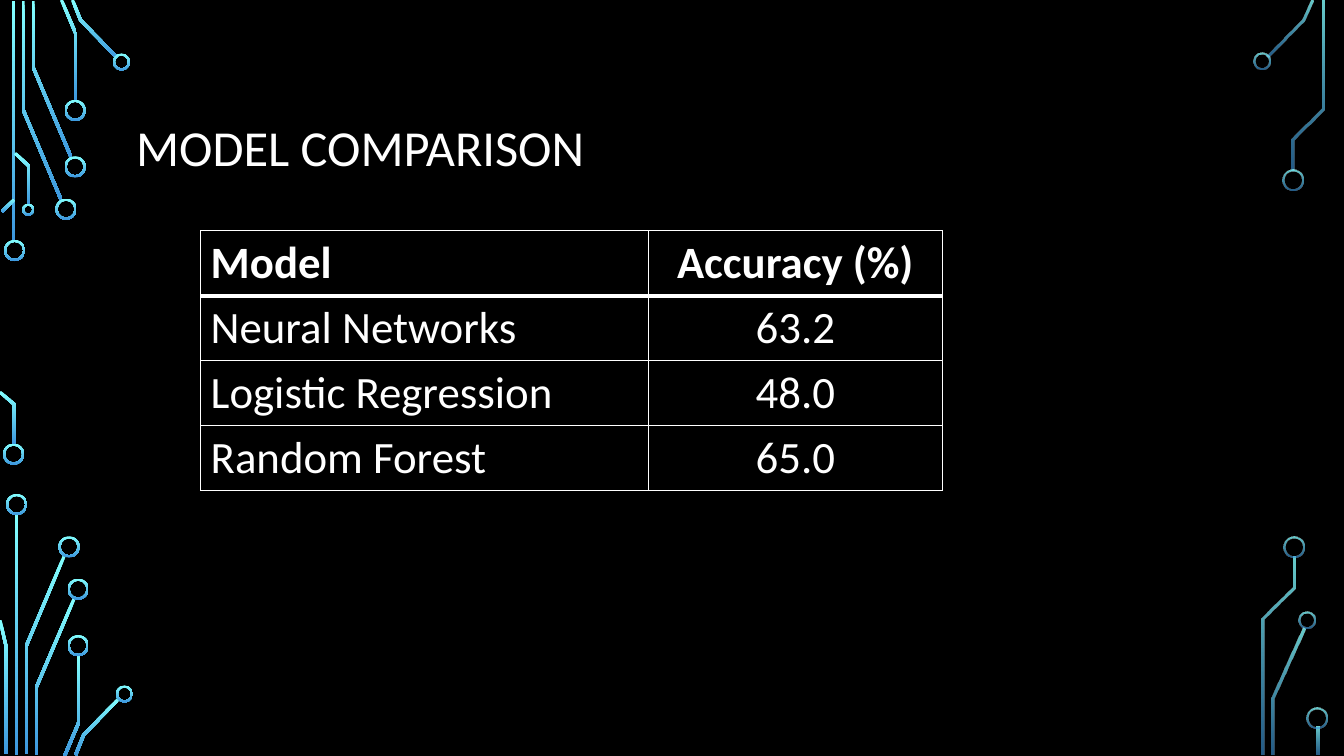
from lxml.etree import SubElement
from pptx import Presentation
from pptx.dml.color import RGBColor
from pptx.enum.shapes import MSO_SHAPE
from pptx.enum.text import MSO_ANCHOR, MSO_AUTO_SIZE, PP_ALIGN
from pptx.oxml.ns import qn
from pptx.util import Inches, Pt

HUES = {"back": "000000", "text": "FFFFFF", "top": "82FFFF", "base": "3D97DE"}
FONT = "Calibri"
SOLID = (100, 100)
FADED = (80, 60)
WIDE = 0.03
RIM = 0.02

LEFT_BARS = [(0.12, 0.01, 2.39), (0.15, 5.1, 2.39)]
RIGHT_BARS = [(13.06, 7.21, 0.28)]
LEFT_TRACKS = [
    [(0.23, 0.01), (0.23, 1.09), (0.61, 1.99)],
    [(0.33, 0.01), (0.33, 0.67), (0.71, 1.57)],
    [(0.61, 0), (0.75, 0.33), (0.75, 1)],
    [(0.72, 0), (0.8, 0.2), (1.16, 0.57)],
    [(0.02, 2.1), (0.14, 1.98)],
    [(0, 3.89), (0.14, 4.01), (0.14, 4.41)],
    [(0.15, 1.52), (0.29, 1.65), (0.29, 2.03)],
    [(0.26, 7.48), (0.26, 6.41), (0.64, 5.51)],
    [(0, 6.15), (0.06, 6.41), (0.06, 7.48)],
    [(0.36, 7.49), (0.36, 6.82), (0.74, 5.93)],
    [(0.64, 7.5), (0.78, 7.17), (0.78, 6.5)],
    [(0.75, 7.49), (0.83, 7.29), (1.18, 6.93)],
]
RIGHT_TRACKS = [
    [(12.57, 0.56), (12.92, 0.2), (13.01, 0)],
    [(12.63, 7.49), (12.63, 6.93), (12.93, 6.23)],
    [(12.82, 1.69), (12.82, 1.38), (13.12, 1.08), (13.12, 0.01)],
    [(12.53, 7.49), (12.53, 6.14), (12.83, 5.83), (12.83, 5.52)],
]
LEFT_RINGS = [
    (0.04, 2.38, 0.21), (0.03, 4.4, 0.21), (0.55, 1.97, 0.21),
    (0.64, 1.55, 0.21), (0.64, 0.99, 0.21), (1.12, 0.53, 0.17),
    (0.22, 2.02, 0.12), (0.06, 4.9, 0.21), (0.58, 5.32, 0.21),
    (0.67, 5.74, 0.21), (0.67, 6.3, 0.21), (1.15, 6.8, 0.17),
]
RIGHT_RINGS = [
    (12.43, 0.52, 0.17), (12.72, 1.68, 0.21), (12.88, 6.07, 0.17),
    (12.73, 5.32, 0.21), (12.96, 7.02, 0.21),
]
ROWS = [
    ("Model", "Accuracy (%)"),
    ("Neural Networks", "63.2"),
    ("Logistic Regression", "48.0"),
    ("Random Forest", "65.0"),
]


def write(frame, text, size=32, bold=False, align=PP_ALIGN.LEFT, space=None):
    """Put formatted text into a text frame."""
    para = frame.paragraphs[0]
    para.alignment = align
    para.line_spacing = space
    run = para.add_run()
    run.text = text
    run.font.name = FONT
    run.font.size = Pt(size)
    run.font.bold = bold
    run.font.color.rgb = RGBColor.from_string(HUES["text"])


def edge(track):
    """Return the outline of a band of even width along a track."""
    dots = [complex(*dot) for dot in track]
    norms = [1j * (b - a) / abs(b - a) for a, b in zip(dots, dots[1:])]
    pairs = zip([norms[0]] + norms, norms + [norms[-1]])
    shifts = [(a + b) / (1 + (a * b.conjugate()).real) * WIDE / 2 for a, b in pairs]
    near = [dot + shift for dot, shift in zip(dots, shifts)]
    far = [dot - shift for dot, shift in zip(dots, shifts)]
    return [(Inches(dot.real), Inches(dot.imag)) for dot in near + far[::-1]]


class Deck:
    """Hold the style and the current slide."""

    def __init__(self):
        """Open a deck with one dark slide."""
        self.show = Presentation()
        self.show.slide_width = Inches(13.33)
        self.show.slide_height = Inches(7.5)
        self.slide = self.show.slides.add_slide(self.show.slide_layouts[5])
        self.shapes = self.slide.shapes
        fill = self.slide.background.fill
        fill.solid()
        fill.fore_color.rgb = RGBColor.from_string(HUES["back"])

    def glow(self, shape, fade):
        """Shade a shape from top to base."""
        shape.shadow.inherit = False
        shape.line.fill.background()
        shape.fill.gradient()
        shape.fill.gradient_angle = 270
        for stop, name in zip(shape.fill.gradient_stops, ("top", "base")):
            stop.color.rgb = RGBColor.from_string(HUES[name])
        if fade != SOLID:
            for tint, part in zip(shape._element.spPr.iter(qn("a:srgbClr")), fade):
                SubElement(tint, qn("a:alpha"), val=str(part * 1000))

    def bar(self, left, top, high, fade):
        """Draw an upright bar."""
        box = [Inches(n) for n in (left, top, WIDE, high)]
        self.glow(self.shapes.add_shape(MSO_SHAPE.RECTANGLE, *box), fade)

    def track(self, dots, fade):
        """Draw a bent track."""
        first, *rest = edge(dots)
        pen = self.shapes.build_freeform(*first)
        pen.add_line_segments(rest, close=True)
        self.glow(pen.convert_to_shape(), fade)

    def ring(self, left, top, size, fade):
        """Draw a thin ring."""
        box = [Inches(n) for n in (left, top, size, size)]
        ring = self.shapes.add_shape(MSO_SHAPE.DONUT, *box)
        ring.adjustments[0] = RIM / size
        self.glow(ring, fade)

    def side(self, bars, tracks, rings, fade):
        """Draw the circuit on one side."""
        for bar in bars:
            self.bar(*bar, fade)
        for dots in tracks:
            self.track(dots, fade)
        for ring in rings:
            self.ring(*ring, fade)

    def title(self, text):
        """Place and fill the title."""
        head = self.shapes.title
        head.left, head.top = Inches(1.25), Inches(0.68)
        head.width, head.height = Inches(10.83), Inches(1.62)
        frame = head.text_frame
        frame.word_wrap = True
        frame.auto_size = MSO_AUTO_SIZE.NONE
        frame.vertical_anchor = MSO_ANCHOR.MIDDLE
        write(frame, text, size=36, space=0.9)

    def rule(self, cell, **widths):
        """Draw the borders of a cell."""
        props = cell._tc.get_or_add_tcPr()
        for side in "LRTB":
            width = Pt(widths.get(side, 1))
            line = SubElement(props, qn(f"a:ln{side}"), w=str(width))
            fill = SubElement(line, qn("a:solidFill"))
            SubElement(fill, qn("a:srgbClr"), val=HUES["text"])

    def table(self, rows):
        """Draw the table of scores."""
        box = [Inches(n) for n in (1.99, 2.29, 7.36, 2.56)]
        grid = self.shapes.add_table(len(rows), 2, *box).table
        grid.first_row = grid.horz_banding = False
        for col, wide in zip(grid.columns, (4.44, 2.92)):
            col.width = Inches(wide)
        for y, row in enumerate(rows):
            thick = {0: {"B": 3}, 1: {"T": 3}}.get(y, {})
            for x, text in enumerate(row):
                cell = grid.cell(y, x)
                self.rule(cell, **thick)
                cell.fill.background()
                align = PP_ALIGN.CENTER if x else PP_ALIGN.LEFT
                write(cell.text_frame, text, bold=y == 0, align=align)


def main():
    """Build and save the slide."""
    deck = Deck()
    deck.side(LEFT_BARS, LEFT_TRACKS, LEFT_RINGS, SOLID)
    deck.side(RIGHT_BARS, RIGHT_TRACKS, RIGHT_RINGS, FADED)
    deck.title("MODEL COMPARISON")
    deck.table(ROWS)
    deck.show.save("out.pptx")


if __name__ == "__main__":
    main()
